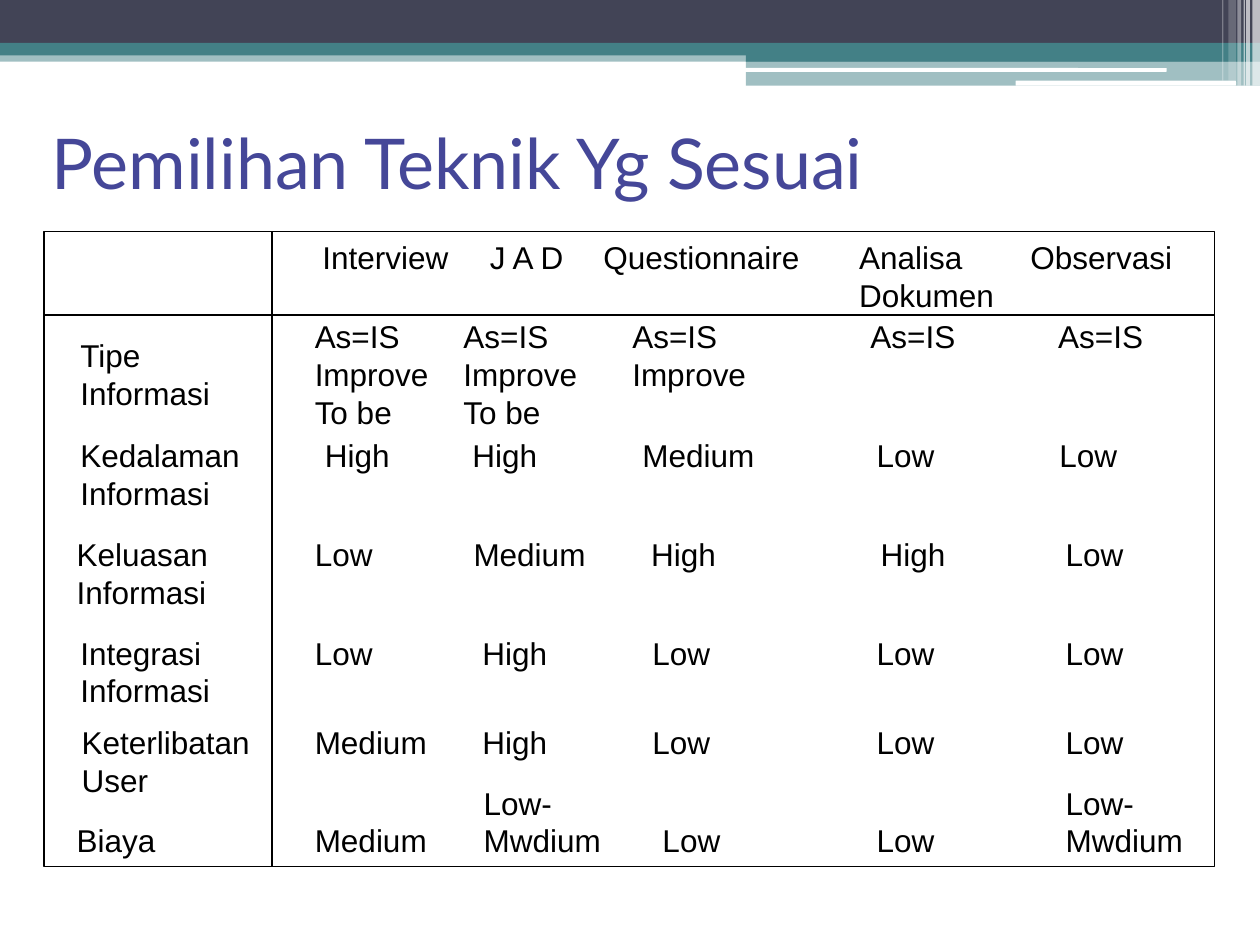
from lxml import etree
from pptx import Presentation
from pptx.dml.color import RGBColor
from pptx.enum.shapes import MSO_CONNECTOR, MSO_SHAPE
from pptx.enum.text import MSO_ANCHOR, MSO_AUTO_SIZE, PP_ALIGN
from pptx.oxml.ns import qn
from pptx.util import Inches, Pt

RECT, ROUNDED = MSO_SHAPE.RECTANGLE, MSO_SHAPE.ROUNDED_RECTANGLE
STRAIGHT = MSO_CONNECTOR.STRAIGHT
MIDDLE, LEFT = MSO_ANCHOR.MIDDLE, PP_ALIGN.LEFT
FIT_TEXT = MSO_AUTO_SIZE.SHAPE_TO_FIT_TEXT

COLORS = {"dark": "424456", "teal": "438086", "white": "FFFFFF",
          "title": "454798", "ink": "000000"}

# Banner parts: left, top, width, height, colour, opacity in percent
BANDS = [
    (0, 0.4, 10, 0.09, "teal", 50),
    (0, 0, 10, 0.34, "dark", 100),
    (0, 0.34, 10, 0.1, "teal", 100),
    (5.92, 0.39, 4.08, 0.1, "teal", 100),
    (5.92, 0.48, 4.08, 0.2, "teal", 50),
]
HIGHLIGHTS = [(5.91, 0.54, 3.35, 0.03), (8.06, 0.64, 1.75, 0.04)]
# Stripes at the right end: left, width, height, opacity
STRIPES = [(9.94, 0.06, 0.68, 65), (9.89, 0.03, 0.68, 65),
           (9.87, 0.01, 0.68, 60), (9.82, 0.03, 0.68, 40),
           (9.75, 0.06, 0.64, 20), (9.7, 0.01, 0.64, 30)]

# Matrix rows, relative to the frame: top, then (left, text) for each entry
HEADINGS = (0, [(2.11, "Interview"), (3.44, "J A D"), (4.34, "Questionnaire"),
                (6.37, "Analisa\nDokumen"), (7.73, "Observasi")])
CRITERIA = [
    (0.78, [(0.19, "Tipe\nInformasi")]),
    (1.57, [(0.19, "Kedalaman\nInformasi")]),
    (2.36, [(0.16, "Keluasan\nInformasi")]),
    (3.14, [(0.19, "Integrasi\nInformasi")]),
    (3.85, [(0.2, "Keterlibatan\nUser")]),
    (4.63, [(0.16, "Biaya")]),
]
RATINGS = [
    (0.63, [(2.05, "As=IS\nImprove\nTo be"), (3.23, "As=IS\nImprove\nTo be"),
            (4.57, "As=IS\nImprove"), (6.46, "As=IS"), (7.95, "As=IS")]),
    (1.57, [(2.13, "High"), (3.3, "High"), (4.65, "Medium"),
            (6.51, "Low"), (7.96, "Low")]),
    (2.36, [(2.05, "Low"), (3.31, "Medium"), (4.72, "High"),
            (6.54, "High"), (8.01, "Low")]),
    (3.14, [(2.05, "Low"), (3.38, "High"), (4.73, "Low"),
            (6.51, "Low"), (8.01, "Low")]),
    (3.85, [(2.05, "Medium"), (3.38, "High"), (4.73, "Low"),
            (6.51, "Low"), (8.01, "Low")]),
    # The two-line costs end on the same line as the others
    (4.33, [(3.39, "Low-\nMwdium"), (8.01, "Low-\nMwdium")]),
    (4.63, [(2.05, "Medium"), (4.81, "Low"), (6.51, "Low")]),
]
# Width of an unwrapped entry, by its longest line
WIDTHS = {"Informasi": 1.24, "Kedalaman": 1.48, "Keterlibatan": 1.56,
          "Biaya": 0.83, "Interview": 1.2, "J A D": 0.81,
          "Questionnaire": 1.76, "Dokumen": 1.27,
          "Observasi": 1.33, "Improve": 1.1, "As=IS": 0.88, "High": 0.72,
          "Medium": 1.09, "Low": 0.66, "Mwdium": 1.13}


def rgb(name):
    return RGBColor.from_string(COLORS[name])


def style(text_frame, font_name, size, color):
    for paragraph in text_frame.paragraphs:
        paragraph.alignment = LEFT
        for run in paragraph.runs:
            run.font.name = font_name
            run.font.size = Pt(size)
            run.font.color.rgb = rgb(color)


def add_bar(slide, kind, left, top, width, height, color, opacity=100):
    bar = slide.shapes.add_shape(kind, Inches(left), Inches(top),
                                 Inches(width), Inches(height))
    bar.shadow.inherit = False
    bar.fill.solid()
    bar.fill.fore_color.rgb = rgb(color)
    bar.line.fill.background()
    if opacity < 100:
        tint = bar.fill._xPr.find(qn("a:solidFill"))[0]
        etree.SubElement(tint, qn("a:alpha"), val=str(opacity * 1000))


def add_banner(slide, left, top):
    for x, y, width, height, color, opacity in BANDS:
        add_bar(slide, RECT, left + x, top + y, width, height, color, opacity)
    for x, y, width, height in HIGHLIGHTS:
        add_bar(slide, ROUNDED, left + x, top + y, width, height, "white")
    for x, width, height, opacity in STRIPES:
        add_bar(slide, RECT, left + x, top, width, height, "white", opacity)


def add_title(slide, left, top, width, height):
    title = slide.shapes.title
    title.left, title.top = Inches(left), Inches(top)
    title.width, title.height = Inches(width), Inches(height)
    title.text_frame.text = "Pemilihan Teknik Yg Sesuai"
    title.text_frame.vertical_anchor = MIDDLE
    style(title.text_frame, "Lato", 40, "title")


def add_entry(slide, left, top, text):
    lines = text.split("\n")
    width = max(WIDTHS.get(line, 0) for line in lines)
    entry = slide.shapes.add_textbox(Inches(left), Inches(top), Inches(width),
                                     Inches(0.1 + 0.3 * len(lines)))
    frame = entry.text_frame
    frame.word_wrap = False
    frame.auto_size = FIT_TEXT
    frame.text = text
    style(frame, "Arial", 18, "ink")


def add_rule(slide, x1, y1, x2, y2):
    rule = slide.shapes.add_connector(STRAIGHT, Inches(x1), Inches(y1),
                                      Inches(x2), Inches(y2))
    rule.line.color.rgb = rgb("ink")
    rule.line.width = Pt(0.75)
    etree.SubElement(rule._element.spPr, qn("a:effectLst"))


def add_matrix(slide, left, top, width, height):
    # Frame and dividing rules
    frame = slide.shapes.add_shape(RECT, Inches(left), Inches(top),
                                   Inches(width), Inches(height))
    frame.shadow.inherit = False
    frame.fill.background()
    frame.line.color.rgb = rgb("ink")
    frame.line.width = Pt(0.75)
    add_rule(slide, left, top + 0.66, left + width, top + 0.66)
    add_rule(slide, left + 1.81, top, left + 1.81, top + height)
    # Headings, criteria and ratings
    for y, entries in [HEADINGS] + CRITERIA + RATINGS:
        for x, text in entries:
            add_entry(slide, left + x, top + y, text)


def main():
    prs = Presentation()
    prs.slide_width, prs.slide_height = Inches(10), Inches(7.5)
    slide = prs.slides.add_slide(prs.slide_layouts[5])
    add_banner(slide, 0, 0)
    add_title(slide, 0.31, 0.7, 9, 1.17)
    add_matrix(slide, 0.35, 1.84, 9.29, 5.04)
    prs.save("out.pptx")


if __name__ == "__main__":
    main()
